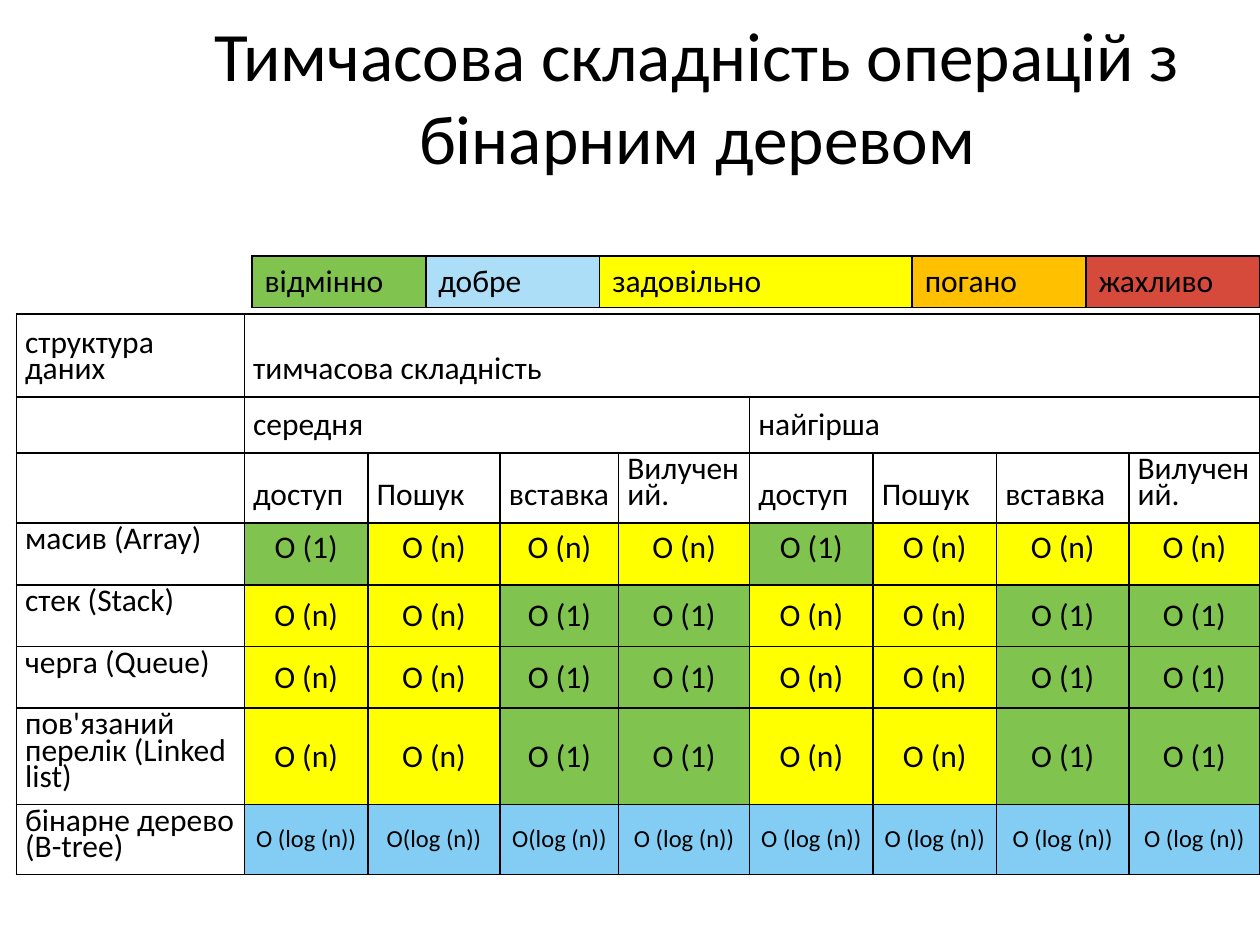
from lxml.etree import SubElement
from pptx import Presentation
from pptx.dml.color import RGBColor
from pptx.enum.text import MSO_ANCHOR, PP_ALIGN
from pptx.oxml.ns import qn
from pptx.util import Inches, Pt

FONT = "Calibri"
BLACK = RGBColor(0x00, 0x00, 0x00)
GREEN = RGBColor(0x80, 0xC3, 0x4F)
PALE_BLUE = RGBColor(0xAC, 0xDE, 0xF7)
BLUE = RGBColor(0x83, 0xCD, 0xF4)
YELLOW = RGBColor(0xFF, 0xFF, 0x00)
ORANGE = RGBColor(0xFF, 0xC0, 0x00)
RED = RGBColor(0xD6, 0x4A, 0x3B)

LEGEND = [("відмінно", GREEN), ("добре", PALE_BLUE), ("задовільно", YELLOW),
          ("погано", ORANGE), ("жахливо", RED)]
LEGEND_COLUMNS = [1.38, 1.38, 2.48, 1.38, 1.38]

OPERATIONS = ["доступ", "Пошук", "вставка", "Вилучений."]
CONSTANT, LINEAR = "O (1)", "O (n)"
LOG, TIGHT_LOG = "O (log (n))", "O(log (n))"
ARRAY_COSTS = [CONSTANT, LINEAR, LINEAR, LINEAR] * 2
LIST_COSTS = [LINEAR, LINEAR, CONSTANT, CONSTANT] * 2
TREE_COSTS = [LOG, TIGHT_LOG, TIGHT_LOG] + [LOG] * 5
COST_FILLS = {CONSTANT: GREEN, LINEAR: YELLOW, LOG: BLUE, TIGHT_LOG: BLUE}

HEADERS = [
    ["структура\nданих", "тимчасова складність"] + [""] * 7,
    ["", "середня", "", "", "", "найгірша", "", "", ""],
    [""] + OPERATIONS * 2,
]
STRUCTURES = [
    ("масив (Array)", ARRAY_COSTS),
    ("стек (Stack)", LIST_COSTS),
    ("черга (Queue)", LIST_COSTS),
    ("пов'язаний перелік (Linked list)", LIST_COSTS),
    ("бінарне дерево\n(B-tree)", TREE_COSTS),
]
COMPLEXITY_COLUMNS = [1.81, 0.98, 1.05, 0.94, 1.04, 0.98, 0.98, 1.05, 1.04]
COMPLEXITY_ROWS = [0.66, 0.31, 0.31] + [0.49] * 5


def add_borders(cell):
    properties = cell._tc.get_or_add_tcPr()
    for side in ("a:lnL", "a:lnR", "a:lnT", "a:lnB"):
        line = SubElement(properties, qn(side), w=str(Pt(1)))
        fill = SubElement(line, qn("a:solidFill"))
        SubElement(fill, qn("a:srgbClr"), val=str(BLACK))


def format_cell(cell, text, fill=None, size=18, anchor=MSO_ANCHOR.TOP,
                alignment=PP_ALIGN.LEFT, spacing=None, inset=None):
    add_borders(cell)
    if fill is None:
        cell.fill.background()
    else:
        cell.fill.solid()
        cell.fill.fore_color.rgb = fill
    cell.vertical_anchor = anchor
    if inset is not None:
        cell.margin_left = cell.margin_right = Inches(inset)
        cell.margin_top = cell.margin_bottom = Inches(inset)
    if not text:
        return
    cell.text_frame.text = text
    for paragraph in cell.text_frame.paragraphs:
        paragraph.alignment = alignment
        if spacing:
            paragraph.line_spacing = Pt(spacing)
        for run in paragraph.runs:
            run.font.name = FONT
            run.font.size = Pt(size)
            run.font.color.rgb = BLACK


def add_plain_table(slide, left, top, columns, rows):
    table = slide.shapes.add_table(
        len(rows), len(columns), Inches(left), Inches(top),
        Inches(sum(columns)), Inches(sum(rows))).table
    table.first_row = table.horz_banding = False
    for column, width in zip(table.columns, columns):
        column.width = Inches(width)
    for row, height in zip(table.rows, rows):
        row.height = Inches(height)
    return table


def add_title(slide, left, top, width, height):
    title = slide.shapes.title
    title.left, title.top = Inches(left), Inches(top)
    title.width, title.height = Inches(width), Inches(height)
    frame = title.text_frame
    frame.text = "Тимчасова складність операцій з бінарним деревом"
    frame.vertical_anchor = MSO_ANCHOR.MIDDLE
    paragraph = frame.paragraphs[0]
    paragraph.alignment = PP_ALIGN.CENTER
    font = paragraph.runs[0].font
    font.name, font.size = FONT, Pt(39.6)
    font.color.rgb = BLACK


def add_legend(slide, left, top):
    table = add_plain_table(slide, left, top, LEGEND_COLUMNS, [0.41])
    for column, (grade, fill) in enumerate(LEGEND):
        format_cell(table.cell(0, column), grade, fill)


def add_complexity_table(slide, left, top):
    table = add_plain_table(slide, left, top, COMPLEXITY_COLUMNS, COMPLEXITY_ROWS)

    # Header rows
    for row, labels in enumerate(HEADERS):
        for column, label in enumerate(labels):
            format_cell(table.cell(row, column), label, anchor=MSO_ANCHOR.BOTTOM,
                        spacing=15, inset=0.07)
    for row, first, last in ((0, 1, 8), (1, 1, 4), (1, 5, 8)):
        table.cell(row, first).merge(table.cell(row, last))

    # One row per data structure, coloured by cost
    for row, (name, costs) in enumerate(STRUCTURES, len(HEADERS)):
        format_cell(table.cell(row, 0), name, spacing=15, inset=0.07)
        is_array = costs is ARRAY_COSTS
        for column, cost in enumerate(costs, 1):
            format_cell(table.cell(row, column), cost, COST_FILLS[cost],
                        size=14 if costs is TREE_COSTS else 18,
                        anchor=MSO_ANCHOR.MIDDLE, alignment=PP_ALIGN.CENTER,
                        spacing=15 if is_array else None,
                        inset=0.07 if is_array else 0.08)


def main():
    presentation = Presentation()
    presentation.slide_width, presentation.slide_height = Inches(10), Inches(7.5)
    slide = presentation.slides.add_slide(presentation.slide_layouts[5])
    add_title(slide, 1.07, 0, 8.93, 1.51)
    add_complexity_table(slide, 0.13, 2.49)
    add_legend(slide, 2, 2.03)
    presentation.save("out.pptx")


if __name__ == "__main__":
    main()
